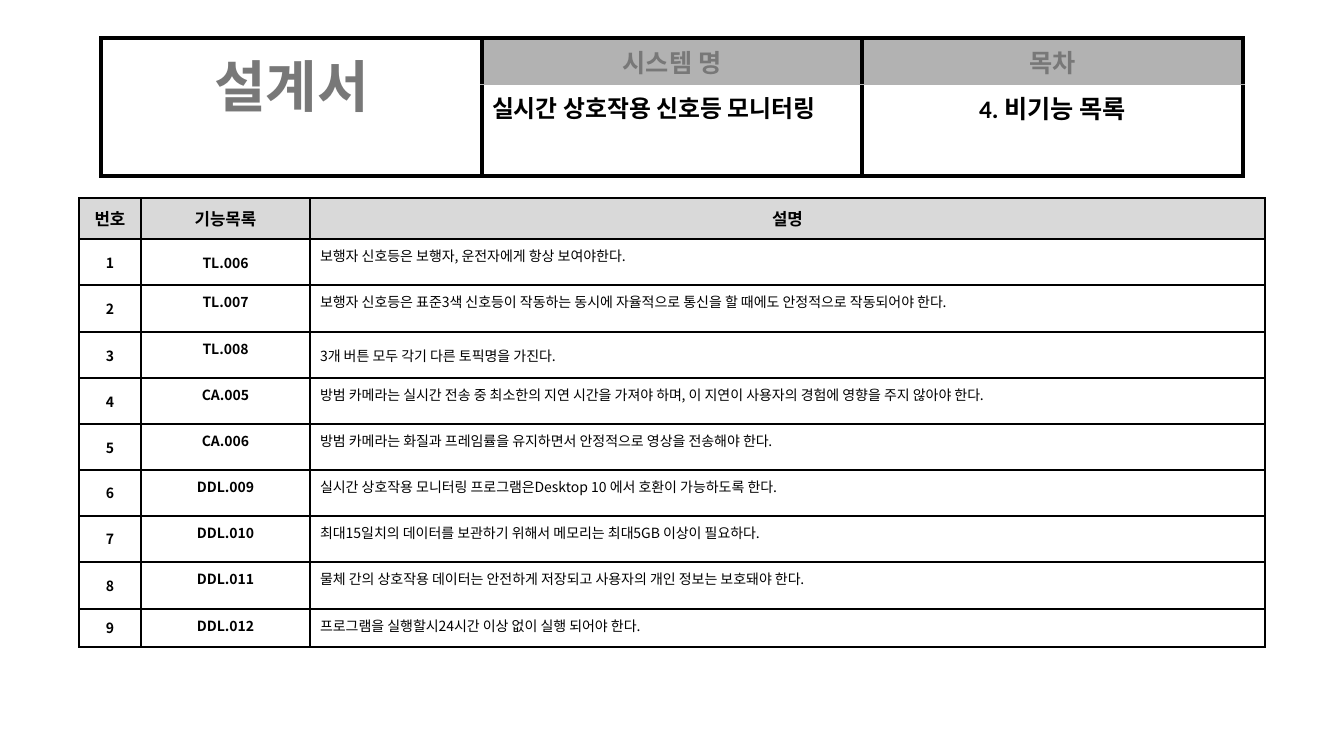
"""Builds the non-functional requirements slide of a design document."""
import lxml.etree
import pptx
import pptx.dml.color
import pptx.enum.text
import pptx.oxml.ns
import pptx.util

RGBColor = pptx.dml.color.RGBColor
BLACK = RGBColor(0x00, 0x00, 0x00)
WHITE = RGBColor(0xFF, 0xFF, 0xFF)
TITLE_GREY = RGBColor(0x78, 0x78, 0x78)
LABEL_GREY = RGBColor(0xB2, 0xB2, 0xB2)
HEAD_GREY = RGBColor(0xD9, 0xD9, 0xD9)
KOREAN_FONT = "Noto Sans CJK KR"
LATIN_FONT = "Calibri"
CENTER = pptx.enum.text.PP_ALIGN.CENTER
LEFT = pptx.enum.text.PP_ALIGN.LEFT
TOP = pptx.enum.text.MSO_ANCHOR.TOP
MIDDLE = pptx.enum.text.MSO_ANCHOR.MIDDLE
EMU_PER_PX = 914400 / 100.8

SLIDE_SIZE = (1344, 756)
BANNER_PLACE = (101, 38)
BANNER_COLUMNS = (381, 380, 381)
BANNER_ROWS = (41, 43)
BANNER_TITLE = "설계서"
BANNER_LABELS = ("시스템 명", "목차")
SYSTEM_NAME = "실시간 상호작용 신호등 모니터링"
SECTION_NAME = "4. 비기능 목록"

LIST_PLACE = (79, 198)
LIST_COLUMNS = (62, 169, 955)
LIST_ROWS = (41, 46, 47, 46, 46, 46, 46, 46, 47, 38)
LIST_HEADINGS = ("번호", "기능목록", "설명")
REQUIREMENTS = (
    ("TL.006", "보행자 신호등은 보행자, 운전자에게 항상 보여야한다."),
    ("TL.007", "보행자 신호등은 표준3색 신호등이 작동하는 동시에 자율적으로 통신을 할 때에도 안정적으로 작동되어야 한다."),
    ("TL.008", "3개 버튼 모두 각기 다른 토픽명을 가진다."),
    ("CA.005", "방범 카메라는 실시간 전송 중 최소한의 지연 시간을 가져야 하며, 이 지연이 사용자의 경험에 영향을 주지 않아야 한다."),
    ("CA.006", "방범 카메라는 화질과 프레임률을 유지하면서 안정적으로 영상을 전송해야 한다."),
    ("DDL.009", "실시간 상호작용 모니터링 프로그램은Desktop 10 에서 호환이 가능하도록 한다."),
    ("DDL.010", "최대15일치의 데이터를 보관하기 위해서 메모리는 최대5GB 이상이 필요하다."),
    ("DDL.011", "물체 간의 상호작용 데이터는 안전하게 저장되고 사용자의 개인 정보는 보호돼야 한다."),
    ("DDL.012", "프로그램을 실행할시24시간 이상 없이 실행 되어야 한다."),
)
MIDDLE_TEXTS = ("TL.006", "3개 버튼 모두 각기 다른 토픽명을 가진다.")


def px(length):
    return pptx.util.Emu(round(length * EMU_PER_PX))


def add_element(parent, tag, **attributes):
    return lxml.etree.SubElement(parent, pptx.oxml.ns.qn(tag), **attributes)


def write_text(cell, text, size=10, font=KOREAN_FONT, color=BLACK, bold=True,
               align=CENTER, anchor=TOP, spaced=False):
    cell.vertical_anchor = anchor
    para = cell.text_frame.paragraphs[0]
    para.alignment = align
    if spaced:
        para.line_spacing = 1.07
        para.space_after = pptx.util.Pt(8)
    span = para.add_run()
    span.text = text
    span.font.size = pptx.util.Pt(size)
    span.font.name = font
    span.font.bold = bold
    span.font.color.rgb = color
    add_element(span.font._element, "a:ea", typeface=KOREAN_FONT)


def draw_borders(cell, **sides):
    properties = cell._tc.get_or_add_tcPr()
    for side in "LRTB":
        if side in sides:
            color, width = sides[side]
            line = add_element(properties, f"a:ln{side}", w=str(pptx.util.Pt(width)))
            fill = add_element(line, "a:solidFill")
            add_element(fill, "a:srgbClr", val=str(color))


def fill_cell(cell, color=None, opacity=100):
    if color is None:
        cell.fill.background()
        return
    cell.fill.solid()
    cell.fill.fore_color.rgb = color
    if opacity < 100:
        shade = cell._tc.tcPr.find(".//" + pptx.oxml.ns.qn("a:srgbClr"))
        add_element(shade, "a:alpha", val=str(opacity * 1000))


def add_grid(page, place, columns, rows):
    left, top = place
    frame = page.shapes.add_table(len(rows), len(columns), px(left), px(top),
                                  px(sum(columns)), px(sum(rows)))
    table = frame.table
    table.first_row = False
    table.horz_banding = False
    for column, width in zip(table.columns, columns):
        column.width = px(width)
    for row, height in zip(table.rows, rows):
        row.height = px(height)
    return table


def add_requirement_list(page):
    table = add_grid(page, LIST_PLACE, LIST_COLUMNS, LIST_ROWS)
    thin = (BLACK, 1)
    for row in range(len(LIST_ROWS)):
        for column in range(len(LIST_COLUMNS)):
            cell = table.cell(row, column)
            draw_borders(cell, L=thin, R=thin, T=thin, B=thin)
            fill_cell(cell, HEAD_GREY if row == 0 else None)
    for column, heading in enumerate(LIST_HEADINGS):
        write_text(table.cell(0, column), heading, size=12, anchor=MIDDLE)
    for row, (code, description) in enumerate(REQUIREMENTS, start=1):
        write_text(table.cell(row, 0), str(row), anchor=MIDDLE)
        for column, text in ((1, code), (2, description)):
            centered = text in MIDDLE_TEXTS
            write_text(table.cell(row, column), text, bold=column == 1,
                       align=CENTER if column == 1 else LEFT,
                       anchor=MIDDLE if centered else TOP, spaced=not centered)


def add_banner(page):
    table = add_grid(page, BANNER_PLACE, BANNER_COLUMNS, BANNER_ROWS)
    thick, divider = (BLACK, 3), (LABEL_GREY, 1)
    for row in range(2):
        title_part = table.cell(row, 0)
        draw_borders(title_part, L=thick, R=thick, T=thick, B=thick)
        fill_cell(title_part, WHITE)
    table.cell(0, 0).merge(table.cell(1, 0))
    write_text(table.cell(0, 0), BANNER_TITLE, size=40, font=LATIN_FONT, color=TITLE_GREY)
    for column, label in enumerate(BANNER_LABELS, start=1):
        head, body = table.cell(0, column), table.cell(1, column)
        draw_borders(head, L=thick, R=thick, T=thick, B=divider)
        draw_borders(body, L=thick, R=thick, T=divider, B=thick)
        fill_cell(head, LABEL_GREY, opacity=40)
        fill_cell(body)
        write_text(head, label, size=18, font=LATIN_FONT, color=TITLE_GREY)
    write_text(table.cell(1, 1), SYSTEM_NAME, size=17, align=LEFT)
    write_text(table.cell(1, 2), SECTION_NAME, size=18, font=LATIN_FONT)


def main():
    deck = pptx.Presentation()
    deck.slide_width, deck.slide_height = map(px, SLIDE_SIZE)
    page = deck.slides.add_slide(deck.slide_layouts[6])
    add_requirement_list(page)
    add_banner(page)
    deck.save("out.pptx")


if __name__ == "__main__":
    main()
